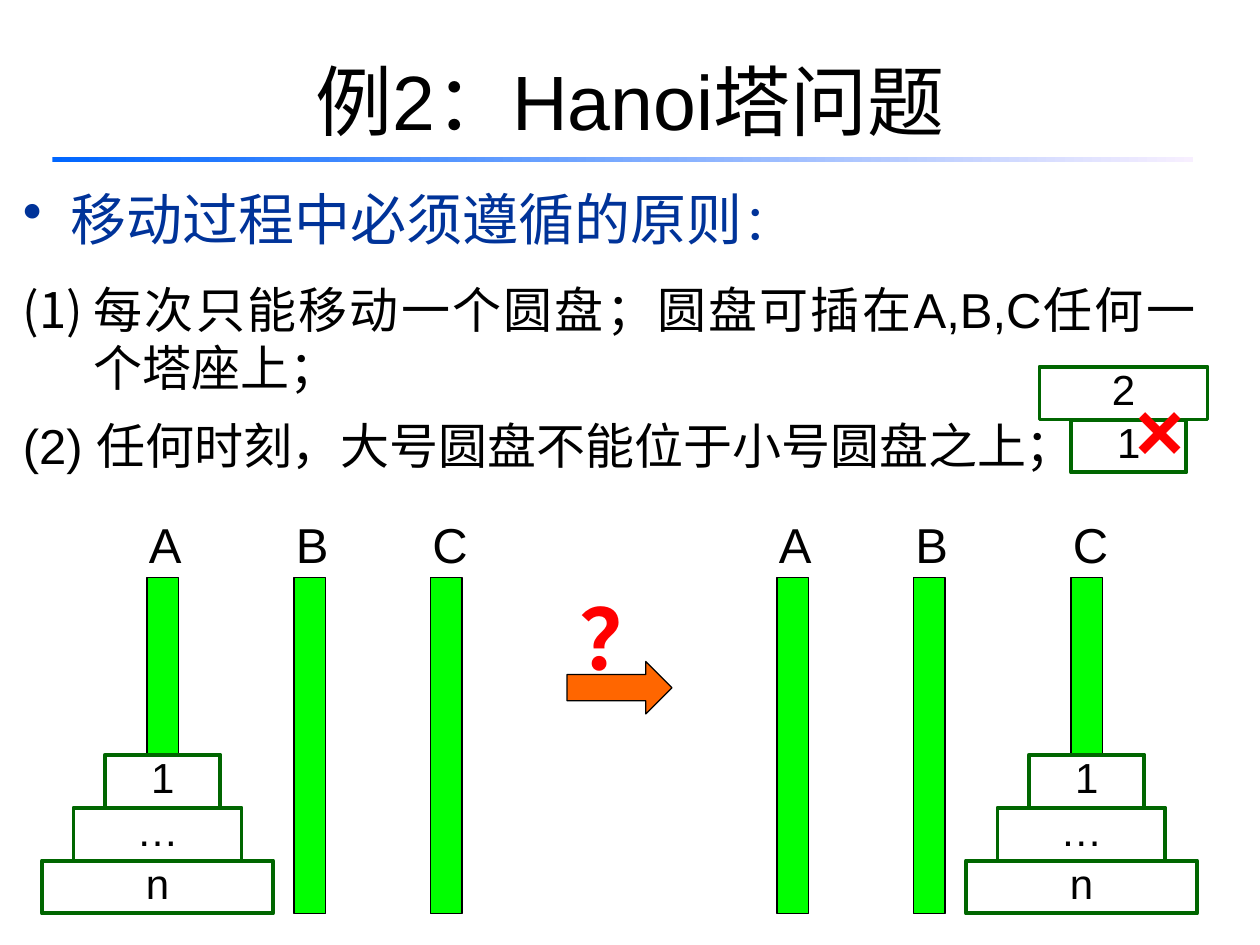
from dataclasses import dataclass

from lxml import etree
from pptx import Presentation
from pptx.dml.color import RGBColor
from pptx.enum.shapes import MSO_SHAPE
from pptx.enum.text import MSO_ANCHOR, PP_ALIGN
from pptx.oxml.ns import qn
from pptx.util import Pt

RECTANGLE = MSO_SHAPE.RECTANGLE
RIGHT_ARROW = MSO_SHAPE.RIGHT_ARROW
TOP = MSO_ANCHOR.TOP
MIDDLE = MSO_ANCHOR.MIDDLE
LEFT = PP_ALIGN.LEFT
CENTER = PP_ALIGN.CENTER
JUSTIFY = PP_ALIGN.JUSTIFY


@dataclass(frozen=True)
class Theme:
    font: str = "Arial"
    title_size: int = 44
    heading_size: int = 32
    body_size: int = 28
    disk_size: int = 24
    mark_size: int = 48
    text: str = "000000"
    heading: str = "003399"
    mark: str = "FF0000"
    peg: str = "00FF00"
    disk: str = "FFFFFF"
    disk_line: str = "006600"
    arrow: str = "FF6600"
    rule_start: str = "0066FF"
    rule_end: str = "F7EFFF"


THEME = Theme()
PEG_TOP, PEG_WIDTH, PEG_HEIGHT = 330, 18, 192
FLOOR = PEG_TOP + PEG_HEIGHT
DISK_HEIGHT = 30.25
SMALL, MEDIUM, LARGE = (24, 66), (42, 96), (60, 132)
DISK_FORMAT = {"alignment": CENTER, "line_spacing": 0.8}
WIDE_FORMAT = {"alignment": LEFT, "line_spacing": 1.25}


def set_attributes(target, values):
    for name, value in values.items():
        setattr(target, name, value)


def write_text(shape, runs, color, paragraph_format, anchor=TOP):
    set_attributes(shape.text_frame, {"word_wrap": True, "vertical_anchor": anchor})
    paragraph = shape.text_frame.paragraphs[0]
    set_attributes(paragraph, paragraph_format)
    for text, size, bold in runs:
        run = paragraph.add_run()
        run.text = text
        set_attributes(run.font, {"name": THEME.font, "size": Pt(size), "bold": bold})
        run.font.color.rgb = RGBColor.from_string(color)
    return paragraph


def add_text(slide, box, runs, color, paragraph_format, anchor=TOP):
    shape = slide.shapes.add_textbox(*map(Pt, box))
    return write_text(shape, runs, color, paragraph_format, anchor)


def add_hanging_text(slide, box, runs, color, indent, bullet=None):
    paragraph = add_text(slide, box, runs, color, {"alignment": JUSTIFY})
    properties = paragraph._p.get_or_add_pPr()
    properties.set("marL", str(Pt(indent)))
    properties.set("indent", str(Pt(-indent)))
    if bullet:
        tag, attributes = bullet
        etree.SubElement(properties, qn(tag), attributes)


def add_figure(slide, kind, box, fill, line, line_width):
    shape = slide.shapes.add_shape(kind, *map(Pt, box))
    shape.shadow.inherit = False
    shape.fill.solid()
    shape.fill.fore_color.rgb = RGBColor.from_string(fill)
    shape.line.color.rgb = RGBColor.from_string(line)
    shape.line.width = Pt(line_width)
    return shape


def add_title_rule(slide):
    rule = slide.shapes.add_shape(RECTANGLE, Pt(30), Pt(89.5), Pt(652), Pt(3))
    rule.shadow.inherit = False
    rule.line.fill.background()
    rule.fill.gradient()
    rule.fill.gradient_angle = 0
    for stop, color in zip(rule.fill.gradient_stops, (THEME.rule_start, THEME.rule_end)):
        stop.color.rgb = RGBColor.from_string(color)


def add_peg(slide, left, name):
    add_figure(slide, RECTANGLE, (left, PEG_TOP, PEG_WIDTH, PEG_HEIGHT),
               THEME.peg, THEME.text, 0.75)
    add_text(slide, (left - 6, 282, 36, 48), [(name, THEME.body_size, False)],
             THEME.text, WIDE_FORMAT)


def add_stack(slide, peg_left, bottom, disks):
    for level, (label, (offset, width)) in enumerate(disks, start=1):
        box = (peg_left - offset, bottom - level * DISK_HEIGHT, width, DISK_HEIGHT)
        disk = add_figure(slide, RECTANGLE, box, THEME.disk, THEME.disk_line, 2.25)
        write_text(disk, [(label, THEME.disk_size, False)], THEME.text, DISK_FORMAT)


def add_towers(slide, peg_lefts, loaded_peg):
    for left, name in zip(peg_lefts, "ABC"):
        add_peg(slide, left, name)
    add_stack(slide, peg_lefts[loaded_peg], FLOOR,
              [("n", LARGE), ("…", MEDIUM), ("1", SMALL)])


def add_mark(slide, box, symbol):
    add_text(slide, box, [(symbol, THEME.mark_size, True)], THEME.mark, WIDE_FORMAT)


def main():
    presentation = Presentation()
    presentation.slide_width, presentation.slide_height = Pt(720), Pt(540)
    slide = presentation.slides.add_slide(presentation.slide_layouts[6])

    add_text(slide, (36, 12, 648, 90), [("例2：Hanoi塔问题", THEME.title_size, False)],
             THEME.text, {"alignment": CENTER}, MIDDLE)
    add_title_rule(slide)
    add_hanging_text(slide, (6, 102, 684, 42),
                     [("移动过程中必须遵循的原则", THEME.heading_size, False),
                      ("：", THEME.body_size, False)],
                     THEME.heading, 27, ("a:buChar", {"char": "•"}))

    add_towers(slide, (84, 168, 246), 0)
    add_figure(slide, RIGHT_ARROW, (324, 378, 60, 30), THEME.arrow, THEME.text, 0.75)
    add_towers(slide, (444, 522, 612), 2)

    add_stack(slide, 636, 270, [("1", SMALL), ("2", MEDIUM)])
    add_mark(slide, (642, 198, 72, 72), "×")
    add_mark(slide, (324, 317.5, 84, 72), "？")

    add_hanging_text(slide, (6, 156, 684, 78),
                     [("每次只能移动一个圆盘；圆盘可插在A,B,C任何一个塔座上；",
                       THEME.body_size, False)],
                     THEME.text, 40.5, ("a:buAutoNum", {"type": "arabicParenBoth"}))
    add_hanging_text(slide, (6, 234, 684, 42),
                     [("(2) 任何时刻，大号圆盘不能位于小号圆盘之上；",
                       THEME.body_size, False)],
                     THEME.text, 40.5)
    presentation.save("out.pptx")


if __name__ == "__main__":
    main()
